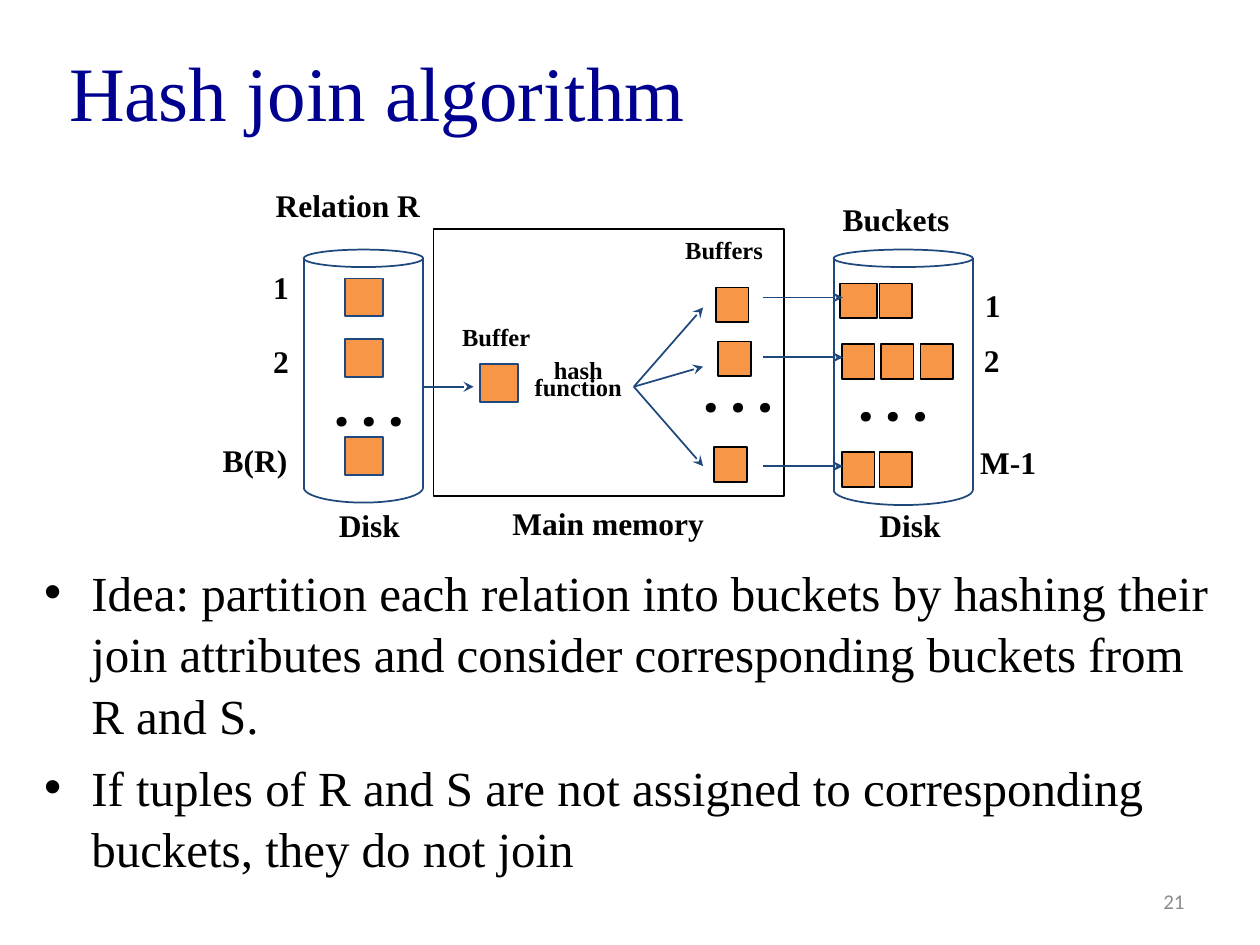
from pptx import Presentation
from pptx.dml.color import RGBColor
from pptx.enum.shapes import MSO_CONNECTOR, MSO_SHAPE as SHAPE
from pptx.enum.text import MSO_ANCHOR as ANCHOR, PP_ALIGN as ALIGN
from pptx.oxml.ns import qn
from pptx.util import Pt
from lxml.etree import SubElement

COLORS = {"title": "000090", "text": "000000", "page": "8C8C8C",
          "block": "F79646", "disk": "1F497D", "memory": "000000"}
SERIF, DOTS = "Times New Roman", "Vollkorn"

IDEAS = [
    "Idea: partition each relation into buckets by hashing their join "
    "attributes and consider corresponding buckets from R and S.",
    "If tuples of R and S are not assigned to corresponding buckets, "
    "they do not join",
]
# text, left, top, width
LABELS = [
    ("Main memory", 285.8, 284.4, 129.6), ("Disk", 495.4, 285.8, 49.7),
    ("Disk", 186.5, 285.8, 49.7), ("Relation R", 150.5, 103, 97.9),
    ("Buckets", 474.5, 110.9, 76.3),
    ("1", 555.8, 159.8, 23.8), ("2", 555.1, 191.5, 23.8), ("M-1", 553, 249.8, 46.8),
    ("1", 149, 149.8, 23.8), ("2", 149, 192.2, 23.8), ("B(R)", 120.2, 248.4, 51.8),
]
SMALL_LABELS = [("Buffer", 257, 180.7, 54), ("Buffers", 384.5, 131, 59.8)]
ELLIPSES = [(183.6, 208.1), (394.6, 200.2), (483.1, 205.2)]

MEMORY = (247.7, 131, 200.2, 152.6)
DISKS = [(173.6, 68.2, 278.6), (476.4, 79.5, 280)]  # left, width, bottom
RELATION_BLOCKS = [(197.3, 159.1), (197.3, 193.7), (197.3, 249.8), (274.3, 208.1)]
BUCKET_BLOCKS = [  # top, (left, width) of each block
    (162, [(480.2, 20.9), (502.6, 18.7)]),
    (196.6, [(481, 18.7), (503.3, 18.7), (526, 18.7)]),
    (258.5, [(481, 18.7), (502.6, 18.7)]),
]
BUFFER_BLOCKS = [(164.2, [(409, 18.7)]), (195.1, [(410.4, 18.7)]),
                 (255.6, [(408.2, 18.7)])]
READ_ARROW = (241.9, 221, 270.7, 221)
HASH_POINT, HASH_TARGET_X = (362.2, 221), 401.8
HASH_TARGETS = [175.7, 209.5, 266.4]
WRITE_FROM, WRITE_TO, WRITE_ROWS = 436.3, 481.7, [170, 204.2, 266.4]

prs = Presentation()
prs.slide_width, prs.slide_height = Pt(720), Pt(540)
slide = prs.slides.add_slide(prs.slide_layouts[6])


def rgb(name):
    """Return the named colour."""
    return RGBColor.from_string(COLORS[name])


def add_text(lines, left, top, width, height, size=18, font=SERIF, color="text",
             bold=False, align=ALIGN.LEFT, anchor=ANCHOR.TOP, wrap=True, inset=7.2):
    """Place a text box with one paragraph per line and return its paragraphs."""
    frame = slide.shapes.add_textbox(Pt(left), Pt(top), Pt(width), Pt(height)).text_frame
    frame.word_wrap, frame.vertical_anchor = wrap, anchor
    frame.margin_left = frame.margin_right = Pt(inset)
    frame.margin_top = frame.margin_bottom = Pt(inset / 2)
    frame.text = "\n".join(lines)
    for paragraph in frame.paragraphs:
        paragraph.alignment = align
        style = paragraph.runs[0].font
        style.size, style.name, style.bold = Pt(size), font, bold
        style.color.rgb = rgb(color)
    return frame.paragraphs


def add_figure(kind, left, top, width, height, line, fill=None):
    """Draw an outlined preset shape, filled if a colour is given."""
    figure = slide.shapes.add_shape(kind, Pt(left), Pt(top), Pt(width), Pt(height))
    figure.shadow.inherit = False
    figure.line.color.rgb, figure.line.width = rgb(line), Pt(1)
    if fill:
        figure.fill.solid()
        figure.fill.fore_color.rgb = rgb(fill)
    else:
        figure.fill.background()
    return figure


def add_line(x1, y1, x2, y2, arrow=False):
    """Draw a straight line, with a stealth head at its end if asked."""
    line = slide.shapes.add_connector(MSO_CONNECTOR.STRAIGHT, Pt(x1), Pt(y1), Pt(x2), Pt(y2))
    line.line.color.rgb, line.line.width = rgb("disk"), Pt(1)
    if arrow:
        SubElement(line.line._get_or_add_ln(), qn("a:tailEnd"), type="stealth")
    SubElement(line._element.spPr, qn("a:effectLst"))


def add_disk(left, width, bottom, top=142.6, rim=10, depth=17.2):
    """Draw a disk from a rim, two sides and a half-ellipse base."""
    add_figure(SHAPE.OVAL, left, top, width, rim, "disk")
    for x in (left, left + width):
        add_line(x, top + rim / 2, x, bottom)
    base = add_figure(SHAPE.ARC, left, bottom - depth / 2, width, depth, "disk")
    base.adjustments[0], base.adjustments[1] = 0, 108  # 0 to 180 degrees


add_text(["Hash join algorithm"], 32.4, 13, 687.6, 77.8, size=44, color="title",
         anchor=ANCHOR.MIDDLE)

for idea in add_text(IDEAS, 25.2, 319.5, 673.2, 180, size=28, inset=0):
    idea.line_spacing, idea.space_after = 1.05, Pt(5.6)
    props = idea._p.get_or_add_pPr()
    props.set("marL", str(Pt(27)))
    props.set("indent", str(-Pt(27)))
    SubElement(props, qn("a:buFont"), typeface="Arial")
    SubElement(props, qn("a:buChar"), char="•")

add_figure(SHAPE.RECTANGLE, *MEMORY, "memory")
for disk in DISKS:
    add_disk(*disk)
for left, top in RELATION_BLOCKS:
    add_figure(SHAPE.RECTANGLE, left, top, 21.6, 21.6, "disk", "block")
for top, blocks in BUCKET_BLOCKS + BUFFER_BLOCKS:
    for left, width in blocks:
        add_figure(SHAPE.RECTANGLE, left, top, width, 19.8, "memory", "block")

add_line(*READ_ARROW, arrow=True)
for y in HASH_TARGETS:
    add_line(*HASH_POINT, HASH_TARGET_X, y, arrow=True)
for y in WRITE_ROWS:
    add_line(WRITE_FROM, y, WRITE_TO, y, arrow=True)

for label, left, top, width in LABELS:
    add_text([label], left, top, width, 28.8, bold=True, wrap=False)
for label, left, top, width in SMALL_LABELS:
    add_text([label], left, top, width, 24.5, size=14, bold=True, wrap=False)
for left, top in ELLIPSES:
    add_text([". . ."], left, top, 54.7, 46, size=32, font=DOTS, bold=True, wrap=False)
hash_lines = add_text(["hash", "function"], 298.1, 199.4, 64.8, 32.4, size=14,
                      bold=True, align=ALIGN.CENTER, wrap=False)
hash_lines[1].line_spacing = 0.5

add_text(["21"], 516.2, 500.4, 167.8, 28.8, size=12, font="Calibri", color="page",
         align=ALIGN.RIGHT, anchor=ANCHOR.MIDDLE)

prs.save("out.pptx")
